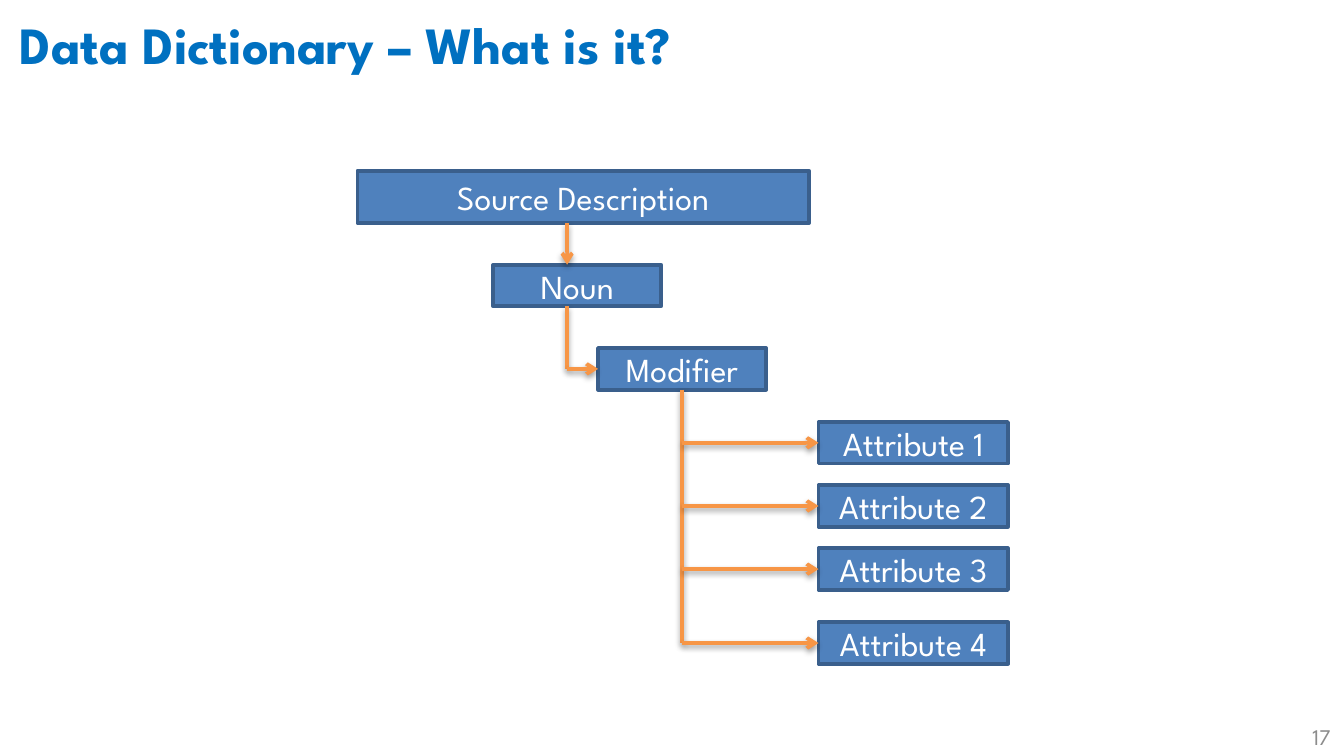
from dataclasses import dataclass
from typing import Optional

from lxml import etree
from pptx import Presentation
from pptx.dml.color import RGBColor
from pptx.enum import shapes, text
from pptx.oxml import ns
from pptx.util import Inches, Pt

FONT = "League Spartan"
BOX_FILL, BOX_EDGE, ARROW = "4F81BD", "3A5F8C", "F79646"
TITLE_BLUE, GREY, WHITE = "0070C0", "8C8C8C", "FFFFFF"
BOTTOM, LEFT = 2, 1
TRUNK_X = 4.22


@dataclass
class Box:
    label: str
    left: float
    top: float
    width: float
    height: float = 0.31

    @property
    def middle(self) -> float:
        return self.top + self.height / 2

    @property
    def bottom(self) -> float:
        return self.top + self.height

    @property
    def center(self) -> float:
        return self.left + self.width / 2


def color(value: str) -> RGBColor:
    return RGBColor.from_string(value)


def write(frame, words: str, size: float, ink: str, align, anchor, bold=False) -> None:
    frame.word_wrap = True
    frame.vertical_anchor = anchor
    paragraph = frame.paragraphs[0]
    paragraph.alignment = align
    run = paragraph.add_run()
    run.text = words
    run.font.name = FONT
    run.font.size = Pt(size)
    run.font.bold = bold
    run.font.color.rgb = color(ink)


def add_label(slide, area: Box, size: float, ink: str, align, anchor, bold=False) -> None:
    label = slide.shapes.add_textbox(
        Inches(area.left), Inches(area.top), Inches(area.width), Inches(area.height))
    write(label.text_frame, area.label, size, ink, align, anchor, bold)


def add_box(slide, box: Box):
    rect = slide.shapes.add_shape(
        shapes.MSO_SHAPE.RECTANGLE,
        Inches(box.left), Inches(box.top), Inches(box.width), Inches(box.height))
    rect.shadow.inherit = False
    rect.fill.solid()
    rect.fill.fore_color.rgb = color(BOX_FILL)
    rect.line.color.rgb = color(BOX_EDGE)
    rect.line.width = Pt(2)
    write(rect.text_frame, box.label, 18, WHITE,
          text.PP_ALIGN.CENTER, text.MSO_ANCHOR.MIDDLE)
    return rect


def add_line(slide, start: tuple[float, float], end: tuple[float, float],
             arrow: bool = True, source: Optional[object] = None,
             target: Optional[object] = None) -> None:
    """Draw a shadowed line, joined to source's bottom or target's left if given."""
    line = slide.shapes.add_connector(
        shapes.MSO_CONNECTOR.STRAIGHT, *(Inches(v) for v in (*start, *end)))
    if source is not None:
        line.begin_connect(source, BOTTOM)
    if target is not None:
        line.end_connect(target, LEFT)
    line.line.color.rgb = color(ARROW)
    line.line.width = Pt(2)
    if arrow:
        outline = line._element.spPr.find(ns.qn("a:ln"))
        etree.SubElement(outline, ns.qn("a:tailEnd"), type="arrow")
    effects = etree.SubElement(line._element.spPr, ns.qn("a:effectLst"))
    shadow = etree.SubElement(effects, ns.qn("a:outerShdw"), blurRad="40000",
                              dist="20000", dir="5400000", rotWithShape="0")
    black = etree.SubElement(shadow, ns.qn("a:srgbClr"), val="000000")
    etree.SubElement(black, ns.qn("a:alpha"), val="38000")


def main() -> None:
    deck = Presentation()
    deck.slide_width = Inches(10)
    deck.slide_height = Inches(10 * 9 / 16)
    slide = deck.slides.add_slide(deck.slide_layouts[6])

    add_label(slide, Box("Data Dictionary – What is it?", 0.05, 0.04, 9.88, 0.71),
              28, TITLE_BLUE, text.PP_ALIGN.LEFT, text.MSO_ANCHOR.TOP, bold=True)
    add_label(slide, Box("17", 9.02, 5.33, 0.98, 0.3),
              12, GREY, text.PP_ALIGN.RIGHT, text.MSO_ANCHOR.MIDDLE)

    description = Box("Source Description", 2.66, 1.27, 3.36, 0.39)
    noun = Box("Noun", 3.67, 1.97, 1.25)
    modifier = Box("Modifier", 4.45, 2.59, 1.25)
    attributes = [Box(f"Attribute {number}", 6.09, top, 1.41)
                  for number, top in enumerate((3.14, 3.61, 4.08, 4.63), start=1)]

    add_box(slide, description)
    add_box(slide, noun)
    modifier_rect = add_box(slide, modifier)
    attribute_rects = [add_box(slide, attribute) for attribute in attributes]

    add_line(slide, (TRUNK_X, description.bottom), (TRUNK_X, noun.top))
    add_line(slide, (TRUNK_X, noun.bottom), (TRUNK_X, modifier.middle), arrow=False)
    add_line(slide, (TRUNK_X, modifier.middle), (modifier.left, modifier.middle),
             target=modifier_rect)
    add_line(slide, (modifier.center, modifier.bottom),
             (modifier.center, attributes[-1].middle), arrow=False, source=modifier_rect)
    for attribute, rect in zip(attributes, attribute_rects):
        add_line(slide, (modifier.center, attribute.middle),
                 (attribute.left, attribute.middle), target=rect)

    deck.save("out.pptx")


if __name__ == "__main__":
    main()
